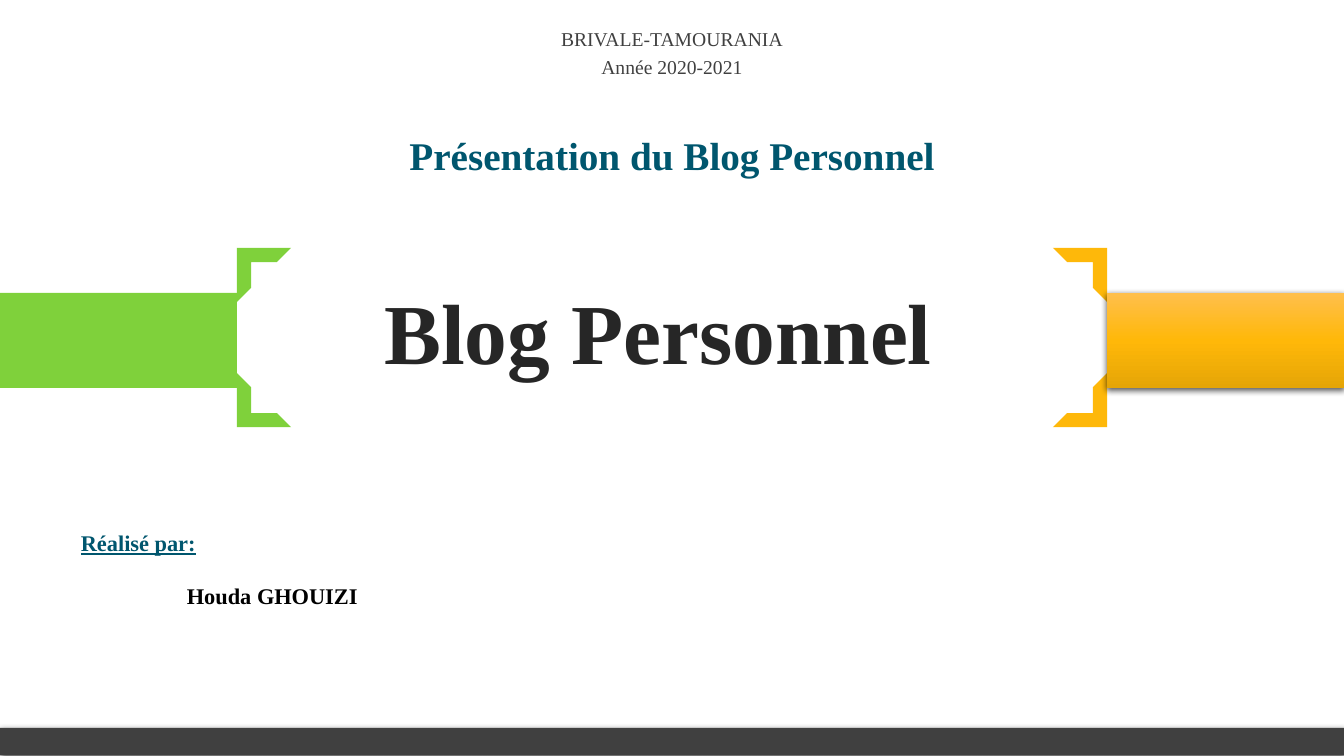
from pptx import Presentation
from pptx.dml.color import RGBColor
from pptx.enum.shapes import MSO_SHAPE as Preset
from pptx.enum.text import MSO_ANCHOR as Anchor, PP_ALIGN as Align
from pptx.oxml import parse_xml
from pptx.oxml.ns import nsdecls, qn
from pptx.util import Emu, Pt

GREEN = RGBColor(0x7F, 0xD1, 0x3B)
AMBER = RGBColor(0xFE, 0xB8, 0x0A)
TEAL = RGBColor(0x00, 0x56, 0x6E)
CHARCOAL = RGBColor(0x26, 0x26, 0x26)
GREY = RGBColor(0x40, 0x40, 0x40)
BLACK = RGBColor(0x00, 0x00, 0x00)
AMBER_STOPS = (
    (0, RGBColor(0xFF, 0xBF, 0x4C)),
    (50, RGBColor(0xFF, 0xB8, 0x09)),
    (100, RGBColor(0xE5, 0xA5, 0x06)),
)
FONT = "Times New Roman"


def px(length):
    """Turn pixels into EMU."""
    return Emu(round(length * 914400 / 100.8))


def add_block(page, preset, box, color):
    """Add a flat preset shape without outline or shadow."""
    block = page.shapes.add_shape(preset, *map(px, box))
    block.shadow.inherit = False
    block.fill.solid()
    block.fill.fore_color.rgb = color
    block.line.fill.background()
    return block


def cast_shadow(block):
    """Give a block a soft shadow below it."""
    block._element.spPr.find(qn("a:effectLst")).append(parse_xml(
        f'<a:outerShdw {nsdecls("a")} blurRad="{Pt(4.5)}" dist="{Pt(1.5)}" '
        'dir="5400000" rotWithShape="0"><a:srgbClr val="000000">'
        '<a:alpha val="63000"/></a:srgbClr></a:outerShdw>'))


def shade_down(block, stops):
    """Replace the solid fill with a vertical gradient."""
    marks = "".join(f'<a:gs pos="{place * 1000}"><a:srgbClr val="{color}"/></a:gs>'
                    for place, color in stops)
    properties = block._element.spPr
    properties.replace(properties.find(qn("a:solidFill")), parse_xml(
        f'<a:gradFill {nsdecls("a")} rotWithShape="1"><a:gsLst>{marks}</a:gsLst>'
        '<a:lin ang="5400000" scaled="0"/></a:gradFill>'))


def add_frame(page, box):
    """Add a wrapping text box and return its text frame."""
    frame = page.shapes.add_textbox(*map(px, box)).text_frame
    frame.word_wrap = True
    return frame


def write(para, text, size, color, bold=True, align=Align.CENTER):
    """Add one styled run to a paragraph."""
    para.alignment = align
    span = para.add_run()
    span.text = text
    font = span.font
    font.name, font.size, font.bold = FONT, Pt(size), bold
    font.color.rgb = color
    return span


def add_header(page, box):
    """Place the school and year lines."""
    frame = add_frame(page, box)
    for index, text in enumerate(("BRIVALE-TAMOURANIA", "Année 2020-2021")):
        para = frame.add_paragraph() if index else frame.paragraphs[0]
        para.space_before = Pt(3)
        write(para, text, 14, GREY, bold=False)


def add_subtitle(page, box):
    """Place the presentation heading."""
    write(add_frame(page, box).paragraphs[0], "Présentation du Blog Personnel", 28, TEAL)


def add_title_band(page, box):
    """Place the title between corner brackets and side bars."""
    left, top, width, height = box
    corner, bar, bar_height = 54, 237, 95
    frame = add_frame(page, (left + 221, top + 19, 874, 140))
    frame.vertical_anchor = Anchor.MIDDLE
    frame.margin_left = frame.margin_right = px(25)
    frame.margin_top = frame.margin_bottom = px(25)
    para = frame.paragraphs[0]
    para.line_spacing = 0.9
    write(para, "Blog Personnel", 61, CHARCOAL)

    near, far = left + bar, left + width - bar - corner
    low = top + height - corner
    for x, y, turn, color in ((near, top, 0, GREEN), (far, top, 90, AMBER),
                              (near, low, 270, GREEN), (far, low, 180, AMBER)):
        bracket = add_block(page, Preset.HALF_FRAME, (x, y, corner, corner), color)
        bracket.rotation = turn
        bracket.adjustments[0] = bracket.adjustments[1] = 0.26

    bar_top = top + 45
    add_block(page, Preset.RECTANGLE, (left, bar_top, bar, bar_height), GREEN)
    amber_bar = add_block(page, Preset.RECTANGLE,
                          (left + width - bar, bar_top, bar, bar_height), AMBER)
    shade_down(amber_bar, AMBER_STOPS)
    cast_shadow(amber_bar)


def add_author(page, box):
    """Place the author label and the indented name."""
    frame = add_frame(page, box)
    label = write(frame.paragraphs[0], "Réalisé par:", 16, TEAL, align=Align.LEFT)
    label.font.underline = True
    para = frame.add_paragraph()
    para.space_before = Pt(19)
    para._p.get_or_add_pPr().set("marL", str(px(106)))
    write(para, "Houda GHOUIZI", 16, BLACK, align=Align.LEFT)


def add_footer(page, box):
    """Place the dark bar at the bottom."""
    cast_shadow(add_block(page, Preset.RECTANGLE, box, GREY))


deck = Presentation()
deck.slide_width, deck.slide_height = px(1344), px(756)
page = deck.slides.add_slide(deck.slide_layouts[6])
add_title_band(page, (0, 248, 1344, 179))
add_author(page, (71, 524, 514, 119))
add_subtitle(page, (352, 126, 640, 57))
add_header(page, (255, 22, 834, 70))
add_footer(page, (0, 728, 1344, 27))
deck.save("out.pptx")
